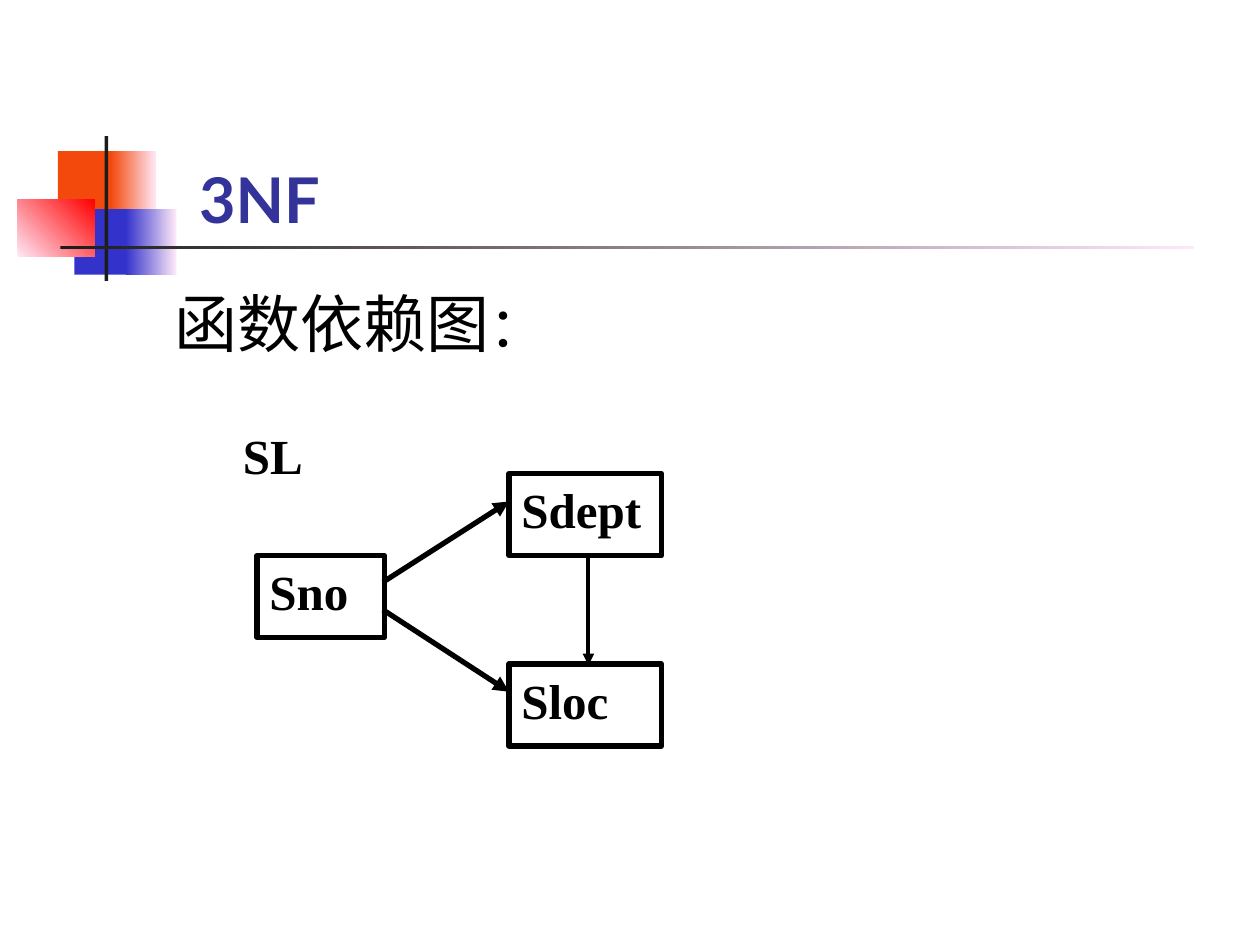
from lxml import etree
from pptx import Presentation
from pptx.dml.color import RGBColor
from pptx.enum import shapes, text
from pptx.oxml import ns
from pptx.util import Inches, Pt

BLACK, PALE, ORANGE, BLUE, DARK = "000000", "FEE8F7", "F4490C", "3333CC", "1C1C1C"
DECORATIONS = [
    ((0.46, 1.2, 0.48, 0.52), [ORANGE], 0),
    ((0.88, 1.2, 0.36, 0.52), [ORANGE, PALE], 0),
    ((0.59, 1.66, 0.46, 0.52), [BLUE], 0),
    ((1, 1.66, 0.4, 0.52), [BLUE, PALE], 0),
    ((0.14, 1.58, 0.61, 0.46), [PALE, "FF0000"], 45),
    ((0.83, 1.08, 0.03, 1.15), [DARK], 0),
    ((0.48, 1.95, 9, 0.03), [DARK, PALE], 0),
]
TITLE_FONT = {"name": "Lato", "size": Pt(36), "bold": True}
BODY_FONT = {"name": "Lato", "size": Pt(36)}
COLON_FONT = {"name": "Lato", "size": Pt(32)}
NODE_FONT = {"name": "Times New Roman", "size": Pt(28), "bold": True}
NODE_HEIGHT = 0.65
RELATION = ("SL", 1.83, 3.33, 1.21)
NODES = [("Sno", 2.04, 4.41, 1.01), ("Sdept", 4.04, 3.76, 1.21), ("Sloc", 4.04, 5.27, 1.21)]
ARROWS = [
    ((3.04, 4.62), (4.04, 3.98), 3),
    ((3.04, 4.84), (4.04, 5.49), 3),
    ((4.67, 4.42), (4.67, 5.28), 2.25),
]


def color(value):
    return RGBColor.from_string(value)


def inches(values):
    return [Inches(value) for value in values]


def add_rectangle(slide, box):
    shape = slide.shapes.add_shape(shapes.MSO_SHAPE.RECTANGLE, *inches(box))
    shape.shadow.inherit = False
    return shape


def add_decoration(slide, box, colors, angle):
    shape = add_rectangle(slide, box)
    shape.line.fill.background()
    if len(colors) == 1:
        shape.fill.solid()
        shape.fill.fore_color.rgb = color(colors[0])
        return
    shape.fill.gradient()
    shape.fill.gradient_angle = angle
    for stop, value, position in zip(shape.fill.gradient_stops, colors, (0, 1)):
        stop.color.rgb = color(value)
        stop.position = position


def write(shape, runs, font_color=BLACK, align=text.PP_ALIGN.LEFT, **frame_format):
    frame = shape.text_frame
    settings = {"word_wrap": True, "vertical_anchor": text.MSO_ANCHOR.TOP, **frame_format}
    for name, value in settings.items():
        setattr(frame, name, value)
    paragraph = frame.paragraphs[0]
    paragraph.alignment = align
    for content, font in runs:
        run = paragraph.add_run()
        run.text = content
        for name, value in font.items():
            setattr(run.font, name, value)
        run.font.color.rgb = color(font_color)


def add_node(slide, label, left, top, width, framed=True):
    box = (left, top, width, NODE_HEIGHT)
    if framed:
        shape = add_rectangle(slide, box)
        shape.fill.background()
        shape.line.color.rgb = color(BLACK)
        shape.line.width = Pt(3)
    else:
        shape = slide.shapes.add_textbox(*inches(box))
    write(shape, [(label, NODE_FONT)], align=text.PP_ALIGN.JUSTIFY)


def add_arrow(slide, start, end, width):
    arrow = slide.shapes.add_connector(shapes.MSO_CONNECTOR.STRAIGHT, *inches(start + end))
    arrow.line.color.rgb = color(BLACK)
    arrow.line.width = Pt(width)
    etree.SubElement(arrow.line._get_or_add_ln(), ns.qn("a:tailEnd"), type="triangle")
    etree.SubElement(arrow._element.spPr, ns.qn("a:effectLst"))


def main():
    presentation = Presentation()
    presentation.slide_width, presentation.slide_height = inches((10, 7.5))
    slide = presentation.slides.add_slide(presentation.slide_layouts[6])
    for decoration in DECORATIONS:
        add_decoration(slide, *decoration)
    title = slide.shapes.add_textbox(*inches((1.26, 0.67, 8.52, 1.25)))
    write(title, [("3NF", TITLE_FONT)], "333399",
          vertical_anchor=text.MSO_ANCHOR.BOTTOM, margin_left=Inches(0.32))
    body = slide.shapes.add_textbox(*inches((1.29, 2.21, 8.5, 4.5)))
    write(body, [("函数依赖图", BODY_FONT), ("：", COLON_FONT)])
    add_node(slide, *RELATION, framed=False)
    for node in NODES:
        add_node(slide, *node)
    for arrow in ARROWS:
        add_arrow(slide, *arrow)
    presentation.save("out.pptx")


if __name__ == "__main__":
    main()
